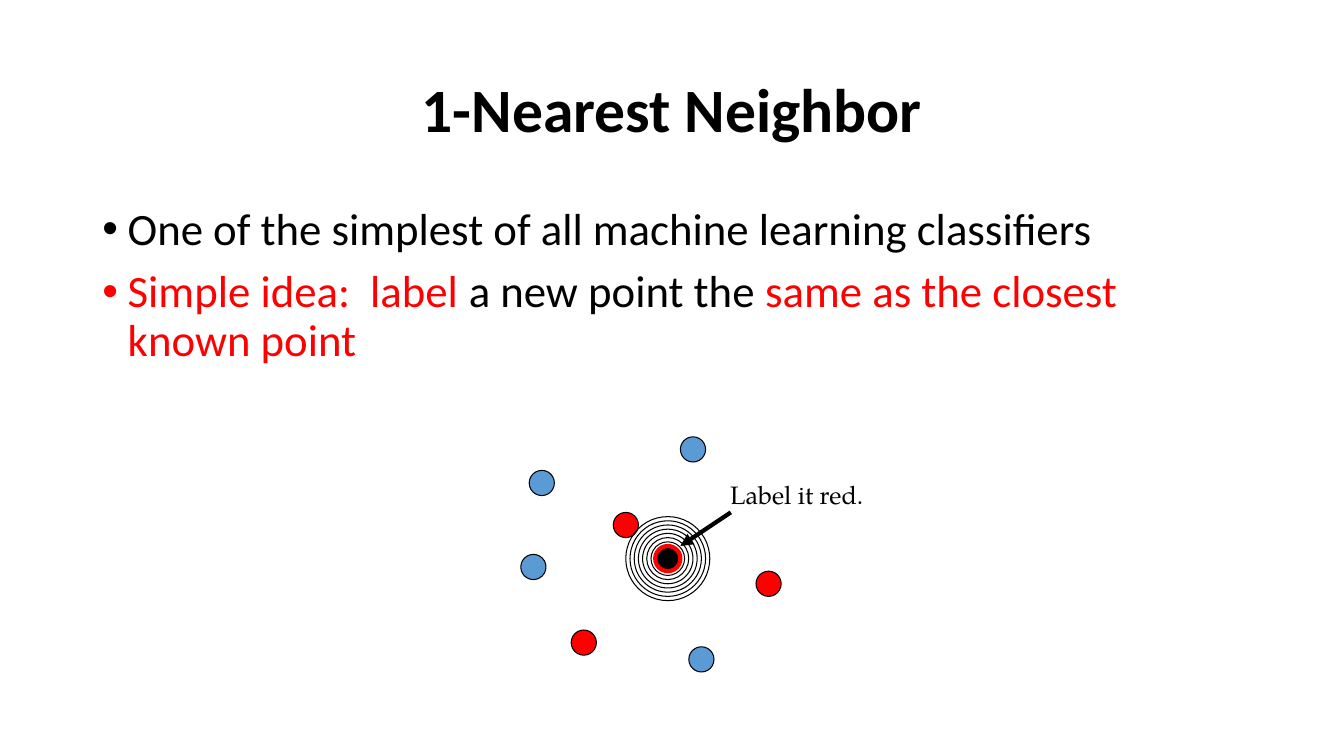
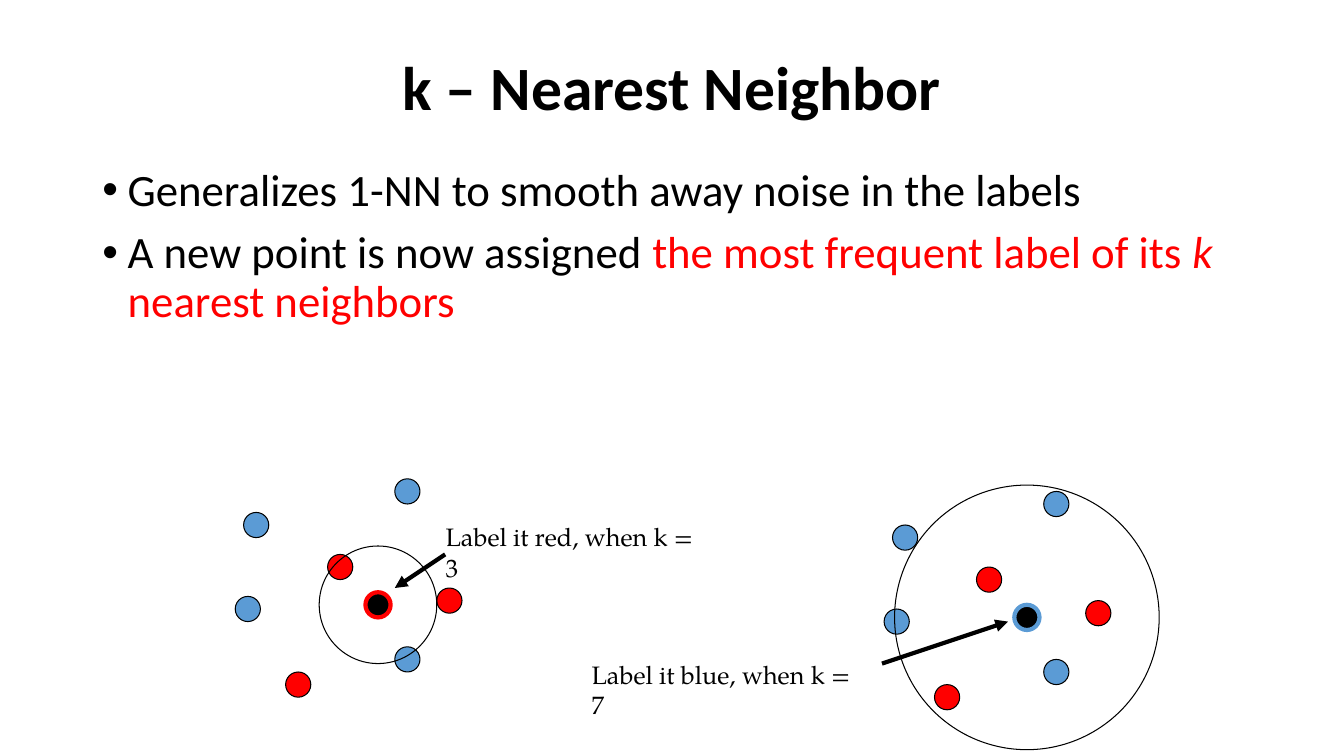
from lxml.etree import SubElement
from pptx import Presentation
from pptx.dml.color import RGBColor
from pptx.enum.shapes import MSO_CONNECTOR, MSO_SHAPE
from pptx.enum.text import MSO_ANCHOR, MSO_AUTO_SIZE, PP_ALIGN
from pptx.oxml.ns import qn
from pptx.util import Pt

PX = 9525
COLORS = {"black": "000000", "red": "FF0000", "blue": "5B9BD5"}
HEAD_FONT, LABEL_FONT = "Calibri", "TeX Gyre Pagella"
LEFT, TOP, WIDTH = 88, 38, 1104
DOT = 24
SHARED_DOTS = [
    (8, 32, "blue"), (48, 184, "red"), (152, 0, "blue"),
    (0, 112, "blue"), (88, 72, "red"),
]
WIDE_DOTS = SHARED_DOTS + [(224, 128, "red"), (160, 200, "blue")]
TIGHT_DOTS = SHARED_DOTS + [(192, 104, "red"), (152, 160, "blue")]


def px(*values):
    return [round(v * PX) for v in values]


def rgb(name):
    return RGBColor.from_string(COLORS[name])


def place(shape, *box):
    shape.left, shape.top, shape.width, shape.height = px(*box)


def style_font(font, name, size, bold=None):
    font.name, font.size, font.bold = name, Pt(size), bold


def add_title(s, text, height):
    title = s.shapes.title
    place(title, LEFT, TOP, WIDTH, height)
    tf = title.text_frame
    tf.text = text
    tf.auto_size = MSO_AUTO_SIZE.NONE
    tf.vertical_anchor = MSO_ANCHOR.MIDDLE
    p = tf.paragraphs[0]
    p.alignment, p.line_spacing = PP_ALIGN.CENTER, 0.9
    style_font(p.font, HEAD_FONT, 44, True)
    p.font.color.rgb = rgb("black")


def add_bullets(s, top, height, items):
    body = s.placeholders[1]
    place(body, LEFT, top, WIDTH, height)
    tf = body.text_frame
    tf.auto_size = MSO_AUTO_SIZE.NONE
    for i, runs in enumerate(items):
        p = tf.add_paragraph() if i else tf.paragraphs[0]
        p.line_spacing, p.space_before = 0.9, Pt(10 if i else 0)
        pPr = p._p.get_or_add_pPr()
        pPr.set("marL", str(24 * PX))
        pPr.set("indent", str(-24 * PX))
        style_font(p.font, HEAD_FONT, 32)
        for text, color, *italic in runs:
            r = p.add_run()
            r.text = text
            r.font.color.rgb = rgb(color)
            if italic:
                r.font.italic = True


def add_circle(s, cx, cy, size, fill=None, line="black", weight=0.75):
    box = px(cx - size / 2, cy - size / 2, size, size)
    sp = s.shapes.add_shape(MSO_SHAPE.OVAL, *box)
    sp.shadow.inherit = False
    if fill:
        sp.fill.solid()
        sp.fill.fore_color.rgb = rgb(fill)
    else:
        sp.fill.background()
    sp.line.color.rgb = rgb(line)
    sp.line.width = Pt(weight)


def add_label(s, text, left, top, width):
    tf = s.shapes.add_textbox(*px(left, top, width, 38)).text_frame
    tf.word_wrap = True
    p = tf.paragraphs[0]
    p.text = text
    style_font(p.font, LABEL_FONT, 18)
    p.font.color.rgb = rgb("black")


def add_arrow(s, start, tip):
    arrow = s.shapes.add_connector(MSO_CONNECTOR.STRAIGHT, *px(*start, *tip))
    arrow.line.color.rgb = rgb("black")
    arrow.line.width = Pt(3)
    SubElement(arrow.line._get_or_add_ln(), qn("a:tailEnd"), type="triangle")
    SubElement(arrow._element.spPr, qn("a:effectLst"))


def add_cluster(s, origin, dots, target, verdict, rings):
    for x, y, color in dots:
        add_circle(s, origin[0] + x + DOT / 2, origin[1] + y + DOT / 2, DOT, color)
    for size in rings:
        add_circle(s, *target, size)
    add_circle(s, *target, DOT, "black", verdict, 3)


def add_content_slide(prs, title, title_height, body_top, body_height, items):
    s = prs.slides.add_slide(prs.slide_layouts[1])
    add_title(s, title, title_height)
    add_bullets(s, body_top, body_height, items)
    return s


def main():
    prs = Presentation()
    prs.slide_width, prs.slide_height = px(1280, 720)

    s = add_content_slide(prs, "1-Nearest Neighbor", 139, 192, 457, [
        [("One of the simplest of all machine learning classifiers", "black")],
        [("Simple idea:  label", "red"), (" a new point the ", "black"),
         ("same as the closest known point", "red")],
    ])
    add_cluster(s, (496, 416), WIDE_DOTS, (636, 532), "red", range(80, 31, -8))
    add_label(s, "Label it red.", 686, 452, 150)
    add_arrow(s, (696, 488), (648, 520))

    s = add_content_slide(prs, "k – Nearest Neighbor", 97, 155, 559, [
        [("Generalizes 1-NN to smooth away noise in the labels", "black")],
        [("A new point is now assigned ", "black"),
         ("the most frequent label of its ", "red"), ("k", "red", True),
         (" nearest neighbors", "red")],
    ])
    add_cluster(s, (224, 456), TIGHT_DOTS, (360, 576), "red", [112])
    add_label(s, "Label it red, when k = 3", 415, 492, 270)
    add_arrow(s, (424, 528), (376, 560))
    add_cluster(s, (842, 468), TIGHT_DOTS, (978, 588), "blue", [252])
    add_label(s, "Label it blue, when k = 7", 554, 623, 281)
    add_arrow(s, (840, 632), (960, 592))

    prs.save("out.pptx")


if __name__ == "__main__":
    main()
